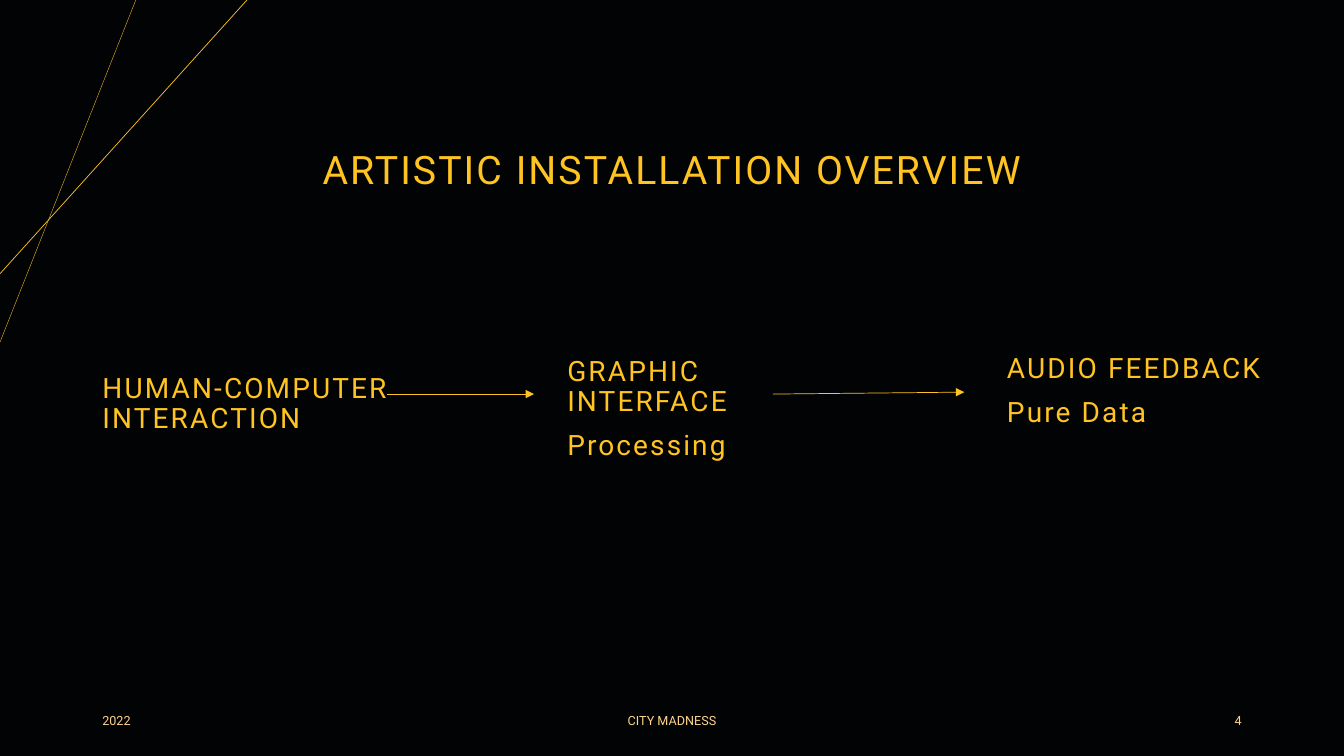
import pptx
import pptx.dml.color
import pptx.enum.shapes
import pptx.enum.text
import pptx.oxml
import pptx.oxml.ns
import pptx.util

Pt = pptx.util.Pt
ALIGN = pptx.enum.text.PP_ALIGN
ANCHOR = pptx.enum.text.MSO_ANCHOR
GOLD, PALE_GOLD, BLACK = "FFC322", "FFD48D", "020305"
DRAWING_NS = pptx.oxml.ns.nsdecls("a")


def rgb(value):
    return pptx.dml.color.RGBColor.from_string(value)


def place(sp, box):
    for name, value in zip(("left", "top", "width", "height"), box):
        setattr(sp, name, Pt(value))


def write(sp, lines, anchor, paragraph_format, size, color, spacing=None):
    """Fill sp with one paragraph per line; spacing is the letter spacing in points."""
    tf = sp.text_frame
    frame_format = {"word_wrap": True, "vertical_anchor": anchor,
                    "auto_size": pptx.enum.text.MSO_AUTO_SIZE.NONE}
    for name, value in frame_format.items():
        setattr(tf, name, value)
    for i, line in enumerate(lines):
        p = tf.paragraphs[0] if i == 0 else tf.add_paragraph()
        for name, value in paragraph_format.items():
            setattr(p, name, value)
        p.space_before = Pt(10 if i else 0)
        r = p.add_run()
        r.text = line
        for name, value in {"name": "Roboto", "size": Pt(size), "bold": False}.items():
            setattr(r.font, name, value)
        r.font.color.rgb = rgb(color)
        if spacing:
            r._r.get_or_add_rPr().set("spc", str(int(spacing * 100)))


def add_line(s, start, end, width, arrow=False):
    sp = s.shapes.add_connector(pptx.enum.shapes.MSO_CONNECTOR.STRAIGHT,
                                *(Pt(v) for v in (*start, *end)))
    sp.line.color.rgb = rgb(GOLD)
    sp.line.width = Pt(width)
    if arrow:
        sp.line._get_or_add_ln().append(
            pptx.oxml.parse_xml(f'<a:tailEnd {DRAWING_NS} type="triangle"/>'))
    sp._element.spPr.append(pptx.oxml.parse_xml(f"<a:effectLst {DRAWING_NS}/>"))


def add_corner_lines(s, box):
    """Cross two diagonals in the corner box."""
    left, top, width, height = box
    add_line(s, (left + width * 0.55, top), (left, top + height), 0.25)
    add_line(s, (left + width, top), (left, top + height * 0.8), 0.5)


def add_title(s, box):
    sp = s.shapes.title
    place(sp, box)
    write(sp, ["ARTISTIC INSTALLATION OVERVIEW"], ANCHOR.MIDDLE,
          {"alignment": ALIGN.CENTER, "line_spacing": 0.9}, 28, GOLD, 1.5)


def add_stage(sp, box, lines):
    place(sp, box)
    write(sp, lines, ANCHOR.BOTTOM,
          {"alignment": ALIGN.LEFT, "line_spacing": 0.9}, 20, GOLD, 1.5)
    for p in sp.text_frame.paragraphs:
        pPr = p._p.get_or_add_pPr()
        pPr.set("marL", "0")
        pPr.set("indent", "0")
        pPr.append(pptx.oxml.parse_xml(f"<a:buNone {DRAWING_NS}/>"))


def add_flow(s, box):
    """Place three stages and the arrows between them in the box."""
    left, top, width, height = box
    bodies = {sp.placeholder_format.idx: sp for sp in s.placeholders}
    stages = [
        (1, (left, top, 226.8, 64.8), ["HUMAN-COMPUTER INTERACTION"]),
        (2, (left + 332, top + 6.5, 160.5, 77.8), ["GRAPHIC INTERFACE", "Processing"]),
        (3, (left + width - 226.8, top + 31.7, 226.8, 28.8), ["AUDIO FEEDBACK", "Pure Data"]),
    ]
    for idx, stage_box, lines in stages:
        add_stage(bodies[idx], stage_box, lines)
    bodies[4]._element.getparent().remove(bodies[4]._element)
    middle = top + 32.4
    add_line(s, (left + 486, middle), (left + 622.8, middle - 1.4), 0.5, arrow=True)
    add_line(s, (left + 210.2, middle), (left + 315.4, middle), 0.5, arrow=True)


def add_footer(s, box):
    left, top, width, height = box
    side, center = 216, 324
    parts = [
        ("2022", left, side, ALIGN.LEFT),
        ("CITY MADNESS", left + (width - center) / 2, center, ALIGN.CENTER),
        ("4", left + width - side, side, ALIGN.RIGHT),
    ]
    for text, x, part_width, alignment in parts:
        sp = s.shapes.add_textbox(*(Pt(v) for v in (x, top, part_width, height)))
        write(sp, [text], ANCHOR.MIDDLE, {"alignment": alignment}, 9, PALE_GOLD)


def main():
    prs = pptx.Presentation()
    prs.slide_width, prs.slide_height = Pt(960), Pt(540)
    s = prs.slides.add_slide(prs.slide_layouts.get_by_name("Comparison"))
    s.background.fill.solid()
    s.background.fill.fore_color.rgb = rgb(BLACK)
    add_corner_lines(s, (0, 0, 176.4, 244.4))
    add_title(s, (148.5, 70.5, 663, 104.5))
    add_flow(s, (66, 249.1, 872.9, 84.3))
    add_footer(s, (66, 500.5, 828, 28.8))
    prs.save("out.pptx")


if __name__ == "__main__":
    main()
